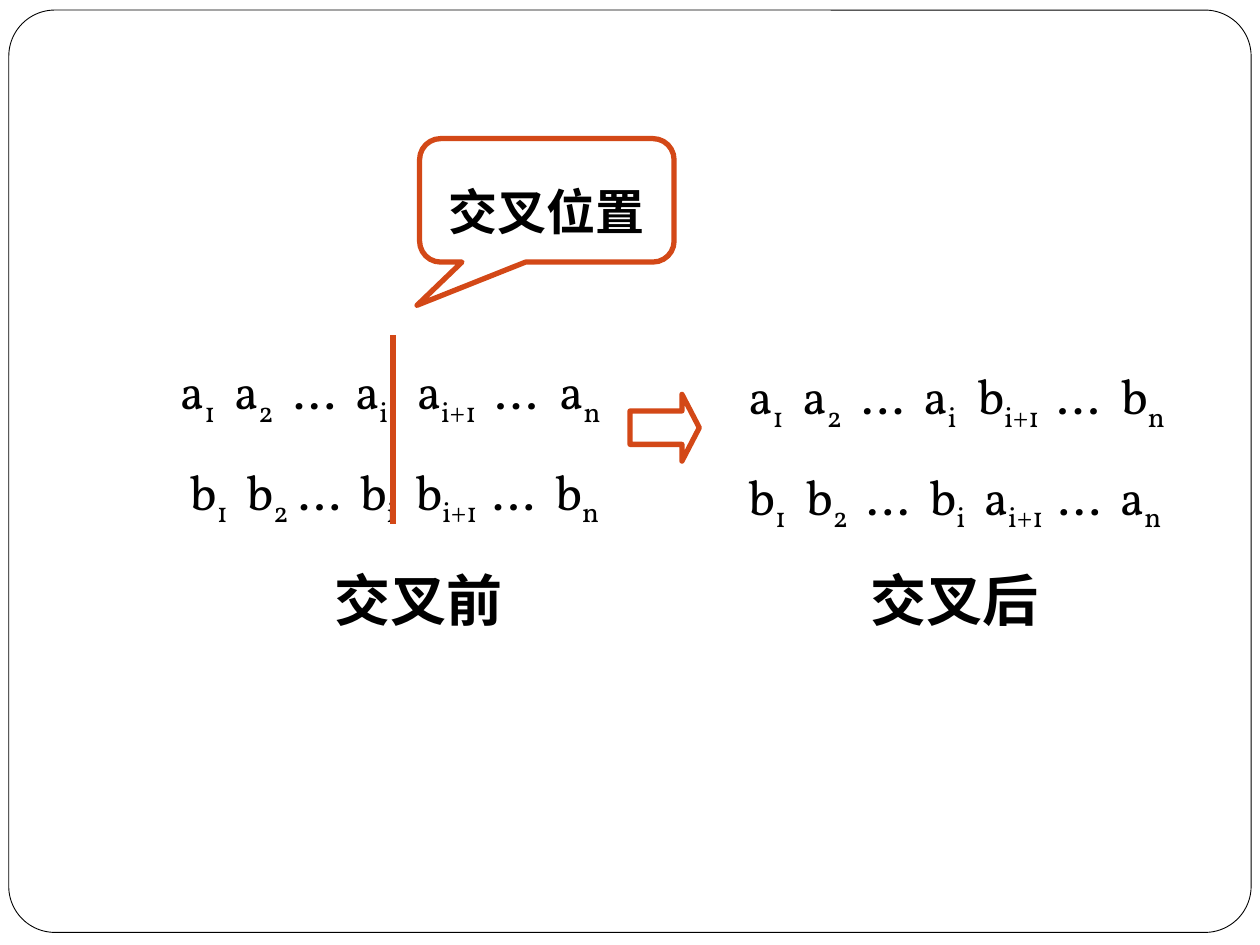
from pptx import Presentation
from pptx.dml.color import RGBColor
from pptx.enum.shapes import MSO_CONNECTOR, MSO_SHAPE as SHAPE
from pptx.enum.text import MSO_ANCHOR as ANCHOR, PP_ALIGN as ALIGN
from pptx.oxml.ns import qn
from pptx.util import Inches, Pt
from lxml import etree

BLACK = RGBColor(0x00, 0x00, 0x00)
WHITE = RGBColor(0xFF, 0xFF, 0xFF)
ORANGE = RGBColor(0xD3, 0x48, 0x17)


class Deck:
    font = "Vollkorn"

    def __init__(self, prs):
        self.s = prs.slides.add_slide(prs.slide_layouts[6])

    def style_font(self, font, size, bold=False):
        font.name, font.size, font.bold = self.font, Pt(size), bold
        font.color.rgb = BLACK

    def label(self, sp, text, size):
        p = sp.text_frame.paragraphs[0]
        p.alignment = ALIGN.CENTER
        r = p.add_run()
        r.text = text
        self.style_font(r.font, size, True)
        # East Asian typeface follows the Latin one
        ea = etree.SubElement(r.font._element, qn("a:ea"))
        ea.set("typeface", self.font)

    def shape(self, kind, box, adjustments, line, width, fill=None):
        sp = self.s.shapes.add_shape(kind, *map(Inches, box))
        sp.shadow.inherit = False
        for i, value in enumerate(adjustments):
            sp.adjustments[i] = value
        if fill is None:
            sp.fill.background()
        else:
            sp.fill.solid()
            sp.fill.fore_color.rgb = fill
        sp.line.color.rgb = line
        sp.line.width = Pt(width)
        return sp

    def line(self, x1, y1, x2, y2):
        cn = self.s.shapes.add_connector(
            MSO_CONNECTOR.STRAIGHT, *map(Inches, (x1, y1, x2, y2)))
        cn.line.color.rgb = ORANGE
        cn.line.width = Pt(3)
        etree.SubElement(cn._element.spPr, qn("a:effectLst"))

    def text_box(self, *box):
        sp = self.s.shapes.add_textbox(*map(Inches, box))
        sp.text_frame.word_wrap = True
        return sp

    def gene_row(self, p, terms, stops):
        """Set terms such as 'a_1' on tab stops, with the index lowered."""
        p.line_spacing = 1.5
        tabs = etree.SubElement(p._p.get_or_add_pPr(), qn("a:tabLst"))
        for term, stop in zip(terms.split(), stops):
            if stop:
                etree.SubElement(tabs, qn("a:tab"),
                                 pos=str(Inches(stop)), algn="l")
            base, _, index = term.partition("_")
            for text, offset in (("\t" * bool(stop) + base, 0), (index, -25000)):
                if text:
                    r = p.add_run()
                    r.text = text
                    self.style_font(r.font, 28)
                    r.font._element.set("baseline", str(offset))

    def chromosomes(self, box, rows):
        tf = self.text_box(*box).text_frame
        for i, (terms, stops) in enumerate(rows):
            p = tf.add_paragraph() if i else tf.paragraphs[0]
            self.gene_row(p, terms, stops)


prs = Presentation()
prs.slide_width, prs.slide_height = Inches(10), Inches(7.5)
deck = Deck(prs)

# Slide frame
deck.shape(SHAPE.ROUNDED_RECTANGLE, (0.07, 0.08, 9.86, 7.32), [0.05],
           BLACK, 0.5, WHITE)

# Gene strings before the crossover, with the cut line
deck.chromosomes((1.33, 2.55, 3.7, 1.8), [
    ("a_1 a_2 ... a_i a_i+1 ... a_n", (0, 0.43, 0.9, 1.39, 1.88, 2.5, 3.01)),
    ("b_1 b_2 ... b_i b_i+1 ... b_n", (0.08, 0.53, 0.94, 1.43, 1.87, 2.48, 2.98)),
])
deck.line(3.12, 2.66, 3.12, 4.16)

# Gene strings after the crossover
deck.chromosomes((5.84, 2.59, 3.88, 1.8), [
    ("a_1 a_2 ... a_i b_i+1 ... b_n", (0, 0.43, 0.9, 1.39, 1.82, 2.45, 2.96)),
    ("b_1 b_2 ... b_i a_i+1 ... a_n", (0, 0.46, 0.94, 1.44, 1.87, 2.46, 2.95)),
])
deck.shape(SHAPE.RIGHT_ARROW, (5, 3.13, 0.55, 0.53), [0.5, 0.26], ORANGE, 3)

# Captions
for left, caption in ((2.34, "交叉前"), (6.6, "交叉后")):
    deck.label(deck.text_box(left, 4.44, 1.96, 1.31), caption, 32)

# Callout for the crossover point
callout = deck.shape(SHAPE.ROUNDED_RECTANGULAR_CALLOUT, (3.33, 1.1, 2.02, 0.98),
                     [-0.51, 0.85, 0.17], ORANGE, 3)
callout.text_frame.vertical_anchor = ANCHOR.MIDDLE
callout.text_frame.margin_top = Inches(0.22)
deck.label(callout, "交叉位置", 28)

prs.save("out.pptx")
